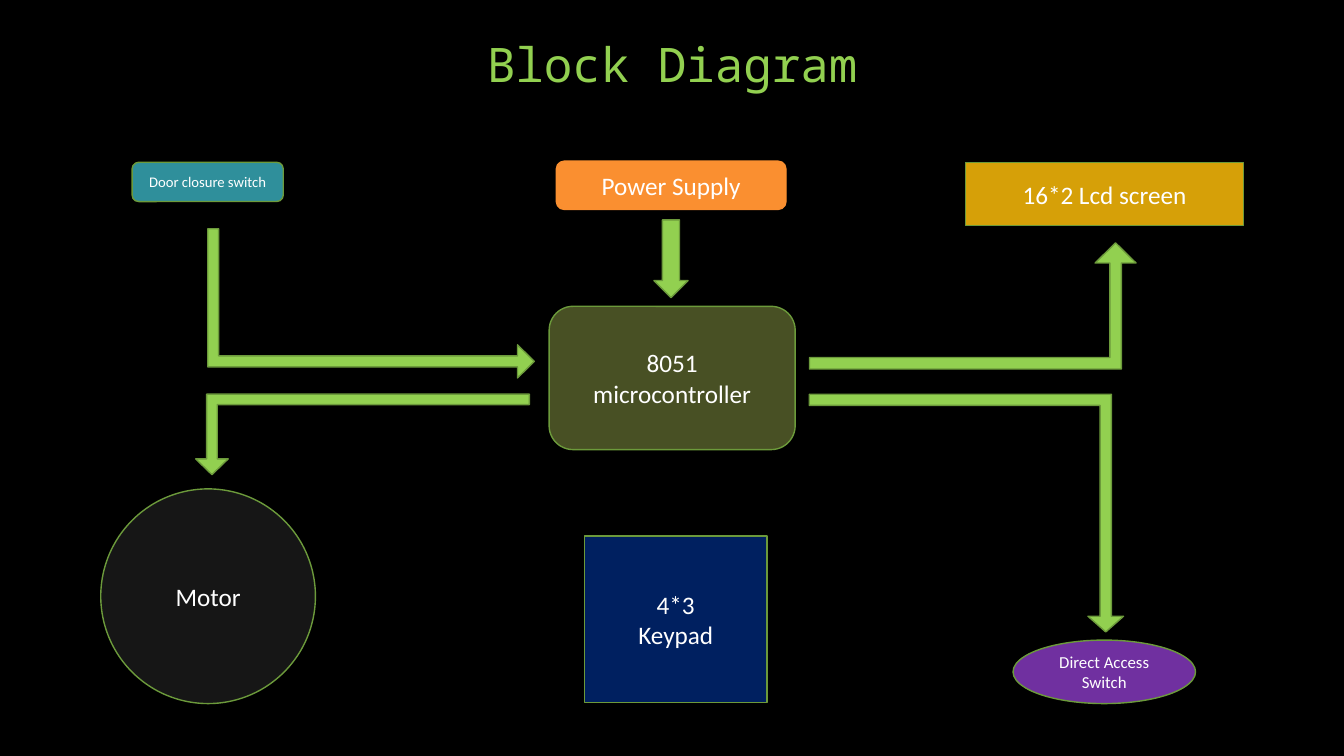
from dataclasses import dataclass

from pptx import Presentation
from pptx import util as u
from pptx.dml.color import RGBColor
from pptx.enum import shapes, text

KIND = shapes.MSO_SHAPE


@dataclass(frozen=True)
class Theme:
    background: str = "000000"
    accent: str = "92D050"
    outline: str = "6C9A3B"
    label: str = "FFFFFF"
    controller: str = "485024"
    power: str = "FA8F30"
    motor: str = "161616"
    door: str = "2F8F9B"
    keypad: str = "002060"
    screen: str = "D6A008"
    access: str = "7030A0"
    title_font: str = "Noto Sans Mono"
    body_font: str = "Calibri"
    title_size: float = 34
    body_size: float = 18
    small_size: float = 12
    tiny_size: float = 10.5


theme = Theme()


def add_part(kind, place, fill, outline):
    """Add an outlined preset shape; place is left, top, width, height in cm."""
    part = slide.shapes.add_shape(kind, *map(u.Cm, place))
    part.shadow.inherit = False
    part.fill.solid()
    part.fill.fore_color.rgb = RGBColor.from_string(fill)
    part.line.color.rgb = RGBColor.from_string(outline)
    part.line.width = u.Pt(1)
    return part


def add_words(paragraph, words, font, size, color):
    paragraph.alignment = text.PP_ALIGN.CENTER
    run = paragraph.add_run()
    run.text = words
    run.font.name = font
    run.font.size = u.Pt(size)
    run.font.color.rgb = RGBColor.from_string(color)


deck = Presentation()
deck.slide_width, deck.slide_height = u.Cm(33.87), u.Cm(19.05)
slide = deck.slides.add_slide(deck.slide_layouts[5])
slide.background.fill.solid()
slide.background.fill.fore_color.rgb = RGBColor.from_string(theme.background)

heading = slide.shapes.title
heading.left, heading.top = u.Cm(4.24), u.Cm(0.91)
heading.width, heading.height = u.Cm(25.4), u.Cm(3.18)
heading.text_frame.vertical_anchor = text.MSO_ANCHOR.TOP
heading_line = heading.text_frame.paragraphs[0]
heading_line.line_spacing = 0.9
add_words(heading_line, "Block Diagram", theme.title_font, theme.title_size, theme.accent)

# Blocks: kind, place, fill, outline, text size, lines
blocks = [
    (KIND.ROUNDED_RECTANGLE, (13.84, 7.72, 6.2, 3.61), theme.controller, theme.outline,
     theme.body_size, ["8051 microcontroller"]),
    (KIND.ROUNDED_RECTANGLE, (14.02, 4.06, 5.79, 1.22), theme.power, theme.power,
     theme.body_size, ["Power Supply"]),
    (KIND.OVAL, (2.54, 12.32, 5.41, 5.41), theme.motor, theme.outline,
     theme.body_size, ["Motor"]),
    (KIND.ROUNDED_RECTANGLE, (3.33, 4.09, 3.81, 0.99), theme.door, theme.outline,
     theme.tiny_size, ["Door closure switch"]),
    (KIND.RECTANGLE, (14.73, 13.51, 4.6, 4.19), theme.keypad, theme.outline,
     theme.body_size, ["4*3", "Keypad"]),
    (KIND.RECTANGLE, (24.33, 4.09, 7.01, 1.6), theme.screen, theme.outline,
     theme.body_size, ["16*2 Lcd screen"]),
    (KIND.OVAL, (25.53, 16.13, 4.6, 1.6), theme.access, theme.outline,
     theme.small_size, ["Direct Access Switch"]),
]
for kind, place, fill, outline, size, lines in blocks:
    frame = add_part(kind, place, fill, outline).text_frame
    frame.word_wrap = True
    frame.vertical_anchor = text.MSO_ANCHOR.MIDDLE
    for index, words in enumerate(lines):
        paragraph = frame.add_paragraph() if index else frame.paragraphs[0]
        add_words(paragraph, words, theme.body_font, size, theme.label)

# Arrows: kind, place before turning, rotation, adjustments
arrows = [
    (KIND.DOWN_ARROW, (16.48, 5.54, 0.86, 1.96), 0, []),
    (KIND.BENT_UP_ARROW, (4.93, 9.93, 8.41, 2.03), 180, [0.131, 0.202, 0.196]),
    (KIND.BENT_UP_ARROW, (7.47, 3.53, 3.76, 8.23), 90, [0.073, 0.111, 0.113]),
    (KIND.BENT_UP_ARROW, (20.4, 6.12, 8.23, 3.18), 0, [0.091, 0.162, 0.16]),
    (KIND.BENT_ARROW, (21.36, 8.97, 5.99, 7.92), 90, [0.047, 0.075, 0.066, 0]),
]
for kind, place, rotation, adjustments in arrows:
    arrow = add_part(kind, place, theme.accent, theme.outline)
    arrow.rotation = rotation
    for index, amount in enumerate(adjustments):
        arrow.adjustments[index] = amount

deck.save("out.pptx")
